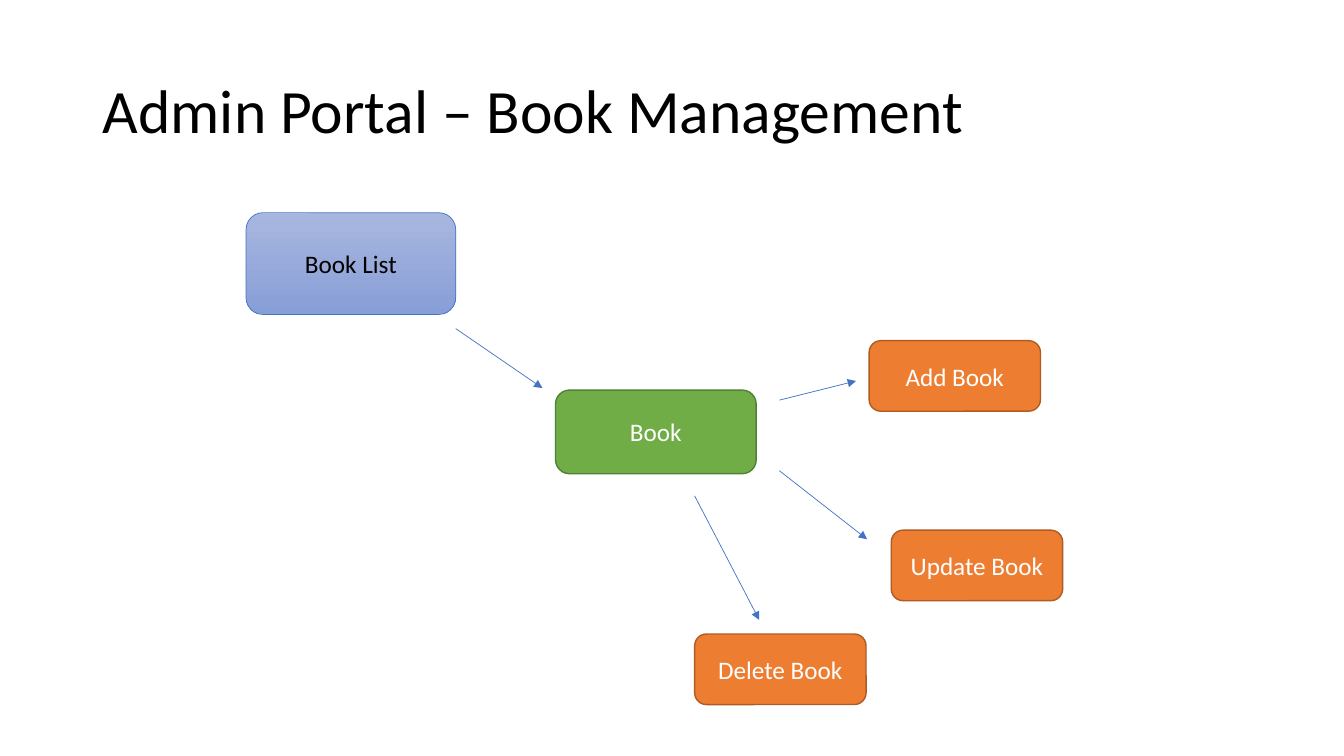
from lxml import etree
from pptx import Presentation
from pptx.dml.color import RGBColor
from pptx.enum import shapes, text
from pptx.oxml import ns
from pptx.util import Inches, Pt

FONT = "Calibri"
BLUE, GREEN, ORANGE = "4472C4", "70AD47", "ED7D31"
DARK_GREEN, DARK_ORANGE = "538035", "AF5C24"
BLACK, WHITE = "000000", "FFFFFF"
ACTION_SIZE = (1.7, 0.7)

ACTIONS = [
    ("Delete Book", 6.89, 6.29),
    ("Update Book", 8.84, 5.26),
    ("Add Book", 8.62, 3.38),
]
ARROWS = [
    ((4.52, 3.26), (5.38, 3.85)),
    ((6.89, 4.92), (7.53, 6.15)),
    ((7.73, 4.67), (8.6, 5.35)),
    ((7.73, 3.97), (8.49, 3.78)),
]


def color(value):
    return RGBColor.from_string(value)


def write(shape, words, size, ink, align):
    frame = shape.text_frame
    frame.text = words
    frame.word_wrap = True
    frame.vertical_anchor = text.MSO_ANCHOR.MIDDLE
    para = frame.paragraphs[0]
    para.alignment = align
    font = para.runs[0].font
    font.name, font.size = FONT, Pt(size)
    font.color.rgb = color(ink)


def add_title(page, words):
    title = page.shapes.title
    title.left, title.top = Inches(0.92), Inches(0.4)
    title.width, title.height = Inches(11.5), Inches(1.45)
    write(title, words, 44, BLACK, text.PP_ALIGN.LEFT)
    title.text_frame.paragraphs[0].line_spacing = 0.9


def add_box(page, words, place, fills, edge, edge_width=1, ink=WHITE):
    """Add a rounded box; two fills make a gradient from top to bottom."""
    box = page.shapes.add_shape(shapes.MSO_SHAPE.ROUNDED_RECTANGLE,
                                *map(Inches, place))
    box.shadow.inherit = False
    if len(fills) == 1:
        box.fill.solid()
        box.fill.fore_color.rgb = color(fills[0])
    else:
        box.fill.gradient()
        box.fill.gradient_angle = 270
        for stop, shade in zip(box.fill.gradient_stops, fills):
            stop.color.rgb = color(shade)
    box.line.color.rgb = color(edge)
    box.line.width = Pt(edge_width)
    write(box, words, 18, ink, text.PP_ALIGN.CENTER)


def add_arrow(page, start, end):
    arrow = page.shapes.add_connector(shapes.MSO_CONNECTOR.STRAIGHT,
                                      *map(Inches, start + end))
    arrow.line.color.rgb = color(BLUE)
    arrow.line.width = Pt(0.5)
    etree.SubElement(arrow.line._get_or_add_ln(), ns.qn("a:tailEnd"),
                     type="triangle")
    etree.SubElement(arrow._element.spPr, ns.qn("a:effectLst"))


def main():
    deck = Presentation()
    deck.slide_width, deck.slide_height = Inches(13.33), Inches(7.5)
    page = deck.slides.add_slide(deck.slide_layouts[5])

    add_title(page, "Admin Portal – Book Management")
    add_box(page, "Book List", (2.44, 2.11, 2.08, 1.01),
            ["A8B7DF", "889ED7"], BLUE, 0.5, BLACK)
    add_box(page, "Book", (5.51, 3.87, 1.99, 0.83), [GREEN], DARK_GREEN)
    for words, left, top in ACTIONS:
        add_box(page, words, (left, top, *ACTION_SIZE), [ORANGE], DARK_ORANGE)
    for start, end in ARROWS:
        add_arrow(page, start, end)

    deck.save("out.pptx")


if __name__ == "__main__":
    main()
